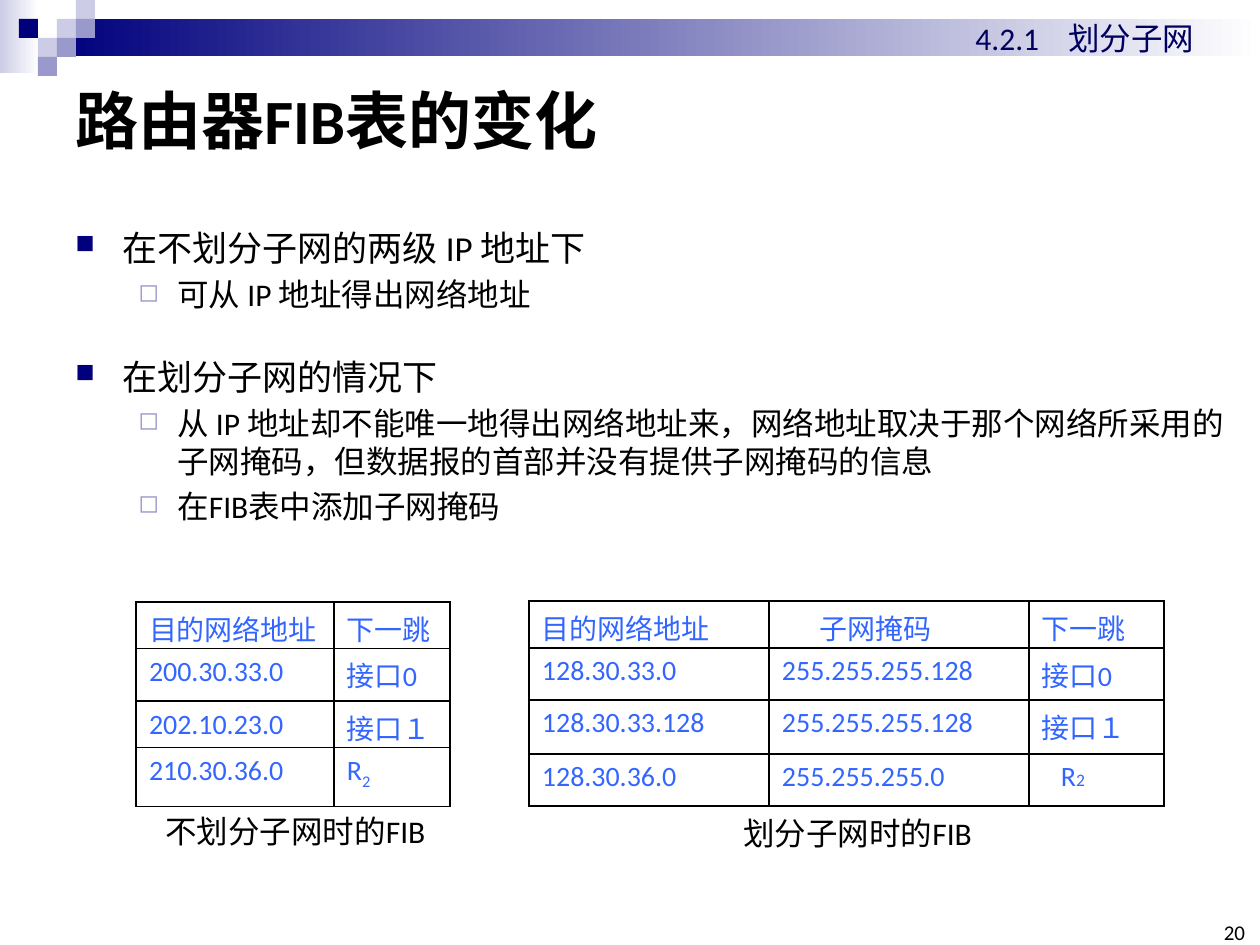
from lxml.etree import SubElement as Sub, Element
from pptx import Presentation
from pptx.dml.color import RGBColor
from pptx.enum.shapes import MSO_SHAPE as Shape
from pptx.enum.text import MSO_ANCHOR as Anchor, PP_ALIGN as Align
from pptx.oxml.ns import qn
from pptx.util import Pt

SCALE = 914400 / 126
FONT = "Calibri"
NAVY, LILAC, PALE = "00007D", "9999CC", "CCCCE6"
BLACK, WHITE, BLUE, INK = "000000", "FFFFFF", "3366FF", "00005E"


def px(n):
    return round(n * SCALE)


def rgb(code):
    return RGBColor.from_string(code)


def add_run(para, text, size, color=BLACK, bold=False, base=0):
    """Append one run; base is the baseline shift in percent."""
    run = para.add_run()
    run.text = text
    font = run.font
    font.name, font.size, font.bold = FONT, Pt(size), bold
    font.color.rgb = rgb(color)
    if base:
        run._r.get_or_add_rPr().set("baseline", str(base * 1000))


def add_box(slide, box, anchor=Anchor.TOP):
    frame = slide.shapes.add_textbox(*map(px, box)).text_frame
    frame.word_wrap = True
    frame.vertical_anchor = anchor
    return frame


def add_label(slide, box, text, size=18, color=BLACK, bold=False, anchor=Anchor.TOP):
    frame = add_box(slide, box, anchor)
    add_run(frame.paragraphs[0], text, size, color, bold)
    return frame


def add_rect(slide, box, *colors):
    """One colour gives a plain fill, two give a left-to-right gradient."""
    rect = slide.shapes.add_shape(Shape.RECTANGLE, *map(px, box))
    rect.shadow.inherit = False
    rect.line.fill.background()
    if len(colors) == 1:
        rect.fill.solid()
        rect.fill.fore_color.rgb = rgb(colors[0])
        return
    rect.fill.gradient()
    rect.fill.gradient_angle = 0
    for stop, color, place in zip(rect.fill.gradient_stops, colors, (0, 1)):
        stop.color.rgb = rgb(color)
        stop.position = place


def add_banner(slide, box):
    left, top, width, height = box
    unit = 19
    add_rect(slide, (left, top, 39, height), PALE, WHITE)
    add_rect(slide, (left + 3 * unit, top + unit, width - 3 * unit, 37), NAVY, WHITE)
    tiles = [(3, 1, PALE), (4, 0, PALE), (4, 1, LILAC), (2, 2, PALE),
             (1, 1, NAVY), (3, 2, LILAC), (2, 3, LILAC)]
    for col, row, color in tiles:
        add_rect(slide, (left + col * unit, top + row * unit, unit, unit), color)

    frame = add_label(slide, (left + 963, top + 13, 248, 50), "4.2.1\t划分子网", 18, INK)
    tabs = Sub(frame.paragraphs[0]._p.get_or_add_pPr(), qn("a:tabLst"))
    Sub(tabs, qn("a:tab"), pos=str(px(93)), algn="l")


def set_bullet(para, mark, color, size, left, hang):
    props = para._p.get_or_add_pPr()
    props.set("marL", str(px(left)))
    props.set("indent", str(-px(hang)))
    tint = Sub(props, qn("a:buClr"))
    Sub(tint, qn("a:srgbClr"), val=color)
    Sub(props, qn("a:buSzPct"), val=str(size * 1000))
    Sub(props, qn("a:buChar"), char=mark)


def add_body(slide, box, items):
    """Items are (level, text) pairs."""
    frame = add_box(slide, box)
    for i, (level, text) in enumerate(items):
        para = frame.add_paragraph() if i else frame.paragraphs[0]
        para.level = level
        if level:
            set_bullet(para, "◻", LILAC, 80, 102, 39)
        else:
            set_bullet(para, "■", NAVY, 75, 47, 47)
            para.line_spacing = 1.5
        if i:
            para.space_before = Pt(4 if level else 12)
        add_run(para, text, 18 if level else 20)


def set_edges(cell):
    props = cell._tc.get_or_add_tcPr()
    for i, side in enumerate("LRTB"):
        line = Element(qn(f"a:ln{side}"), w=str(Pt(1)))
        fill = Sub(line, qn("a:solidFill"))
        Sub(fill, qn("a:srgbClr"), val=BLACK)
        props.insert(i, line)


def add_fib(slide, box, cols, rows, data, hop, shifts):
    """Draw a FIB table; hop holds the last cell's runs, shifts its extra left margins."""
    size = len(rows), len(cols)
    table = slide.shapes.add_table(*size, *map(px, box)).table
    table.first_row = table.horz_banding = False
    for col, width in zip(table.columns, cols):
        col.width = px(width)
    for row, height in zip(table.rows, rows):
        row.height = px(height)
    for r, line in enumerate(data):
        for c, text in enumerate(line):
            cell = table.cell(r, c)
            cell.fill.background()
            set_edges(cell)
            cell.margin_left = px(13 + shifts.get((r, c), 0))
            para = cell.text_frame.paragraphs[0]
            for part, points, base in hop if text is None else [(text, 16, 0)]:
                add_run(para, part, points, BLUE, base=base)


def add_number(slide, box, text):
    frame = add_label(slide, box, text, 12, anchor=Anchor.BOTTOM)
    frame.margin_left = frame.margin_right = frame.margin_top = frame.margin_bottom = 0
    frame.paragraphs[0].alignment = Align.RIGHT


def main():
    deck = Presentation()
    deck.slide_width, deck.slide_height = px(1260), px(945)
    slide = deck.slides.add_slide(deck.slide_layouts[6])

    add_banner(slide, (0, 0, 1260, 73))
    add_label(slide, (63, 63, 1134, 112), "路由器FIB表的变化", 36,
              bold=True, anchor=Anchor.MIDDLE)
    add_body(slide, (63, 199, 1182, 382), [
        (0, "在不划分子网的两级 IP 地址下"),
        (1, "可从 IP 地址得出网络地址"),
        (0, "在划分子网的情况下"),
        (1, "从 IP 地址却不能唯一地得出网络地址来，网络地址取决于那个网络所采用"
            "的子网掩码，但数据报的首部并没有提供子网掩码的信息"),
        (1, "在FIB表中添加子网掩码"),
    ])
    add_fib(slide, (136, 602, 314, 204), (198, 116), (46, 53, 46, 59), [
        ("目的网络地址", "下一跳"),
        ("200.30.33.0", "接口0"),
        ("202.10.23.0", "接口１"),
        ("210.30.36.0", None),
    ], [("R", 16, 0), ("2", 16, -25)], {})
    add_fib(slide, (529, 601, 635, 205), (240, 260, 135), (47, 52, 54, 52), [
        ("目的网络地址", "子网掩码", "下一跳"),
        ("128.30.33.0", "255.255.255.128", "接口0"),
        ("128.30.33.128", "255.255.255.128", "接口１"),
        ("128.30.36.0", "255.255.255.0", None),
    ], [("R", 16, 0), ("2", 10, 0)], {(0, 1): 38, (3, 2): 19})
    add_label(slide, (153, 806, 296, 50), "不划分子网时的FIB")
    add_label(slide, (731, 808, 296, 50), "划分子网时的FIB")
    add_number(slide, (1216, 924, 29, 21), "20")
    deck.save("out.pptx")


if __name__ == "__main__":
    main()
